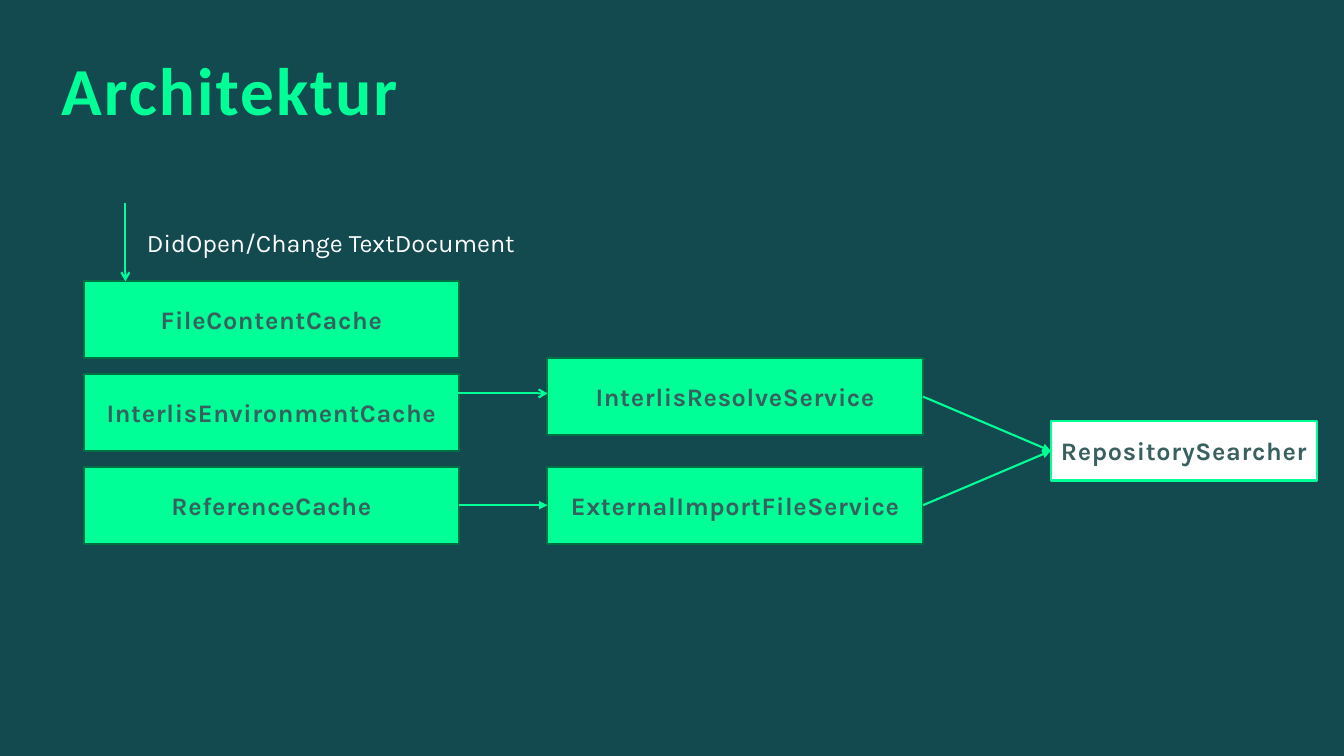
from dataclasses import dataclass
from typing import Optional

from pptx import Presentation
from pptx.dml.color import RGBColor
from pptx.enum.shapes import MSO_CONNECTOR, MSO_SHAPE
from pptx.enum.text import MSO_ANCHOR, MSO_AUTO_SIZE, PP_ALIGN
from pptx.oxml.xmlchemy import OxmlElement
from pptx.util import Inches, Pt

RECTANGLE = MSO_SHAPE.RECTANGLE
STRAIGHT = MSO_CONNECTOR.STRAIGHT
MIDDLE, TOP = MSO_ANCHOR.MIDDLE, MSO_ANCHOR.TOP
CENTER = PP_ALIGN.CENTER
FIT_SHAPE = MSO_AUTO_SIZE.SHAPE_TO_FIT_TEXT
LEFT_SIDE, RIGHT_SIDE = 1, 3

PETROL = RGBColor(0x12, 0x4A, 0x4F)
MINT = RGBColor(0x00, 0xFF, 0x96)
GREEN = RGBColor(0x00, 0x70, 0x42)
SLATE = RGBColor(0x3A, 0x5F, 0x5F)
WHITE = RGBColor(0xFF, 0xFF, 0xFF)

# Grid: the first cache box sits at column 0, row 0; services start at column 2.
ORIGIN_X, ORIGIN_Y = 0.83, 2.79
COLUMN, ROW = 2.3, 0.92


@dataclass(frozen=True)
class Box:
    """A component; position and size are in grid columns and rows."""
    name: str
    col: float
    row: float
    cols: float = 1.62
    rows: float = 0.83
    fill: RGBColor = MINT
    line: RGBColor = GREEN


@dataclass(frozen=True)
class Arrow:
    """An arrow in grid units, optionally joined to named boxes."""
    col1: float
    row1: float
    col2: float
    row2: float
    head: str = "triangle"
    source: Optional[str] = None
    target: Optional[str] = None


@dataclass(frozen=True)
class Label:
    text: str
    col: float
    row: float
    cols: float
    rows: float
    font: str
    size: int
    color: RGBColor
    bold: bool = False
    spacing: float = 0
    line_spacing: float = 1.0


FILE_CACHE = "FileContentCache"
ENVIRONMENT_CACHE = "InterlisEnvironmentCache"
REFERENCE_CACHE = "ReferenceCache"
RESOLVER = "InterlisResolveService"
IMPORTER = "ExternalImportFileService"
SEARCHER = "RepositorySearcher"

BOXES = [
    Box(FILE_CACHE, 0, 0),
    Box(ENVIRONMENT_CACHE, 0, 1),
    Box(REFERENCE_CACHE, 0, 2),
    Box(RESOLVER, 2, 0.83),
    Box(IMPORTER, 2, 2),
    Box(SEARCHER, 4.17, 1.51, 1.15, 0.64, WHITE, MINT),
]
ARROWS = [
    Arrow(0.18, -0.84, 0.18, 0, "arrow"),
    Arrow(1.6, 1.21, 2, 1.21, "arrow"),
    Arrow(1.62, 2.41, 2, 2.41, source=REFERENCE_CACHE, target=IMPORTER),
    Arrow(3.62, 1.24, 4.17, 1.83, source=RESOLVER, target=SEARCHER),
    Arrow(3.62, 2.41, 4.17, 1.83, source=IMPORTER, target=SEARCHER),
]
TITLE = Label("Architektur", -0.14, -2.47, 2.68, 6.9, "Calibri", 48, MINT,
              True, 1.5, 0.9)
EVENT = Label("DidOpen/Change TextDocument", 0.23, -0.63, 1.74, 0.43,
              "Karla", 18, WHITE)


def grid_x(col: float) -> int:
    return Inches(ORIGIN_X + col * COLUMN)


def grid_y(row: float) -> int:
    return Inches(ORIGIN_Y + row * ROW)


def format_run(r, font: str, size: int, color: RGBColor, bold: bool,
               spacing: float) -> None:
    r.font.name = font
    r.font.size = Pt(size)
    r.font.bold = bold
    r.font.color.rgb = color
    if spacing:
        r.font._element.set("spc", str(int(spacing * 100)))


def add_label(s, label: Label):
    sp = s.shapes.add_textbox(grid_x(label.col), grid_y(label.row),
                              Inches(label.cols * COLUMN),
                              Inches(label.rows * ROW))
    tf = sp.text_frame
    tf.word_wrap = True
    tf.vertical_anchor = TOP
    tf.text = label.text
    p = tf.paragraphs[0]
    p.line_spacing = label.line_spacing
    format_run(p.runs[0], label.font, label.size, label.color, label.bold,
               label.spacing)
    return sp


def add_box(s, box: Box):
    sp = s.shapes.add_shape(RECTANGLE, grid_x(box.col), grid_y(box.row),
                            Inches(box.cols * COLUMN), Inches(box.rows * ROW))
    sp.shadow.inherit = False
    sp.fill.solid()
    sp.fill.fore_color.rgb = box.fill
    sp.line.color.rgb = box.line
    sp.line.width = Pt(1.5)
    tf = sp.text_frame
    tf.word_wrap = True
    tf.vertical_anchor = MIDDLE
    tf.text = box.name
    p = tf.paragraphs[0]
    p.alignment = CENTER
    format_run(p.runs[0], "Karla", 18, SLATE, True, 0.5)
    return sp


def add_arrow(s, arrow: Arrow, boxes: dict) -> None:
    line = s.shapes.add_connector(STRAIGHT,
                                  grid_x(arrow.col1), grid_y(arrow.row1),
                                  grid_x(arrow.col2), grid_y(arrow.row2))
    if arrow.source:
        line.begin_connect(boxes[arrow.source], RIGHT_SIDE)
    if arrow.target:
        line.end_connect(boxes[arrow.target], LEFT_SIDE)
    line.line.color.rgb = MINT
    line.line.width = Pt(1.5)
    tail = OxmlElement("a:tailEnd")
    tail.set("type", arrow.head)
    line.line._get_or_add_ln().append(tail)
    line._element.spPr.append(OxmlElement("a:effectLst"))


def main() -> None:
    prs = Presentation()
    prs.slide_width, prs.slide_height = Inches(13.33), Inches(7.5)
    s = prs.slides.add_slide(prs.slide_layouts[6])
    s.background.fill.solid()
    s.background.fill.fore_color.rgb = PETROL

    add_label(s, TITLE)
    boxes = {box.name: add_box(s, box) for box in BOXES}
    for arrow in ARROWS:
        add_arrow(s, arrow, boxes)
    add_label(s, EVENT).text_frame.auto_size = FIT_SHAPE
    prs.save("out.pptx")


if __name__ == "__main__":
    main()
